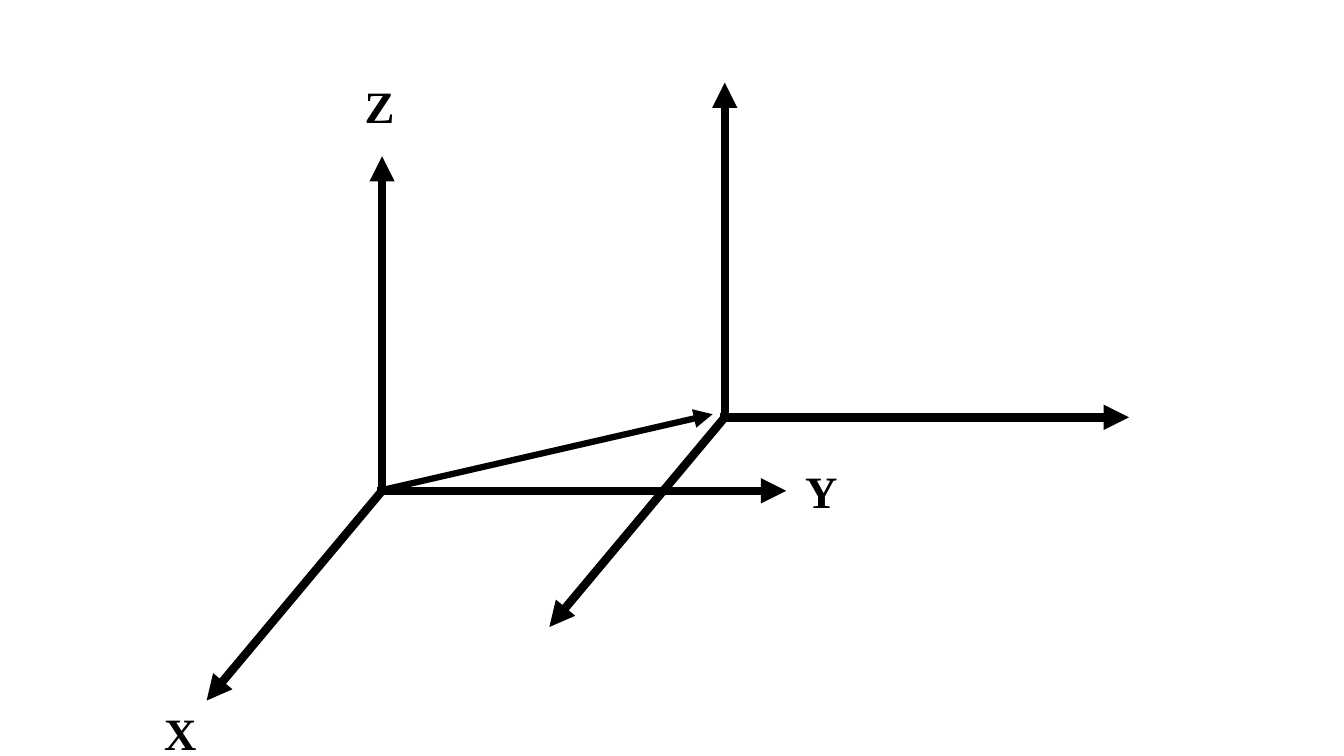
from lxml import etree
from pptx import Presentation
from pptx.dml.color import RGBColor
from pptx.enum.text import MSO_AUTO_SIZE
from pptx.oxml.ns import qn
from pptx.util import Pt

NO_AUTOSIZE = MSO_AUTO_SIZE.NONE
STRAIGHT = 1
COLORS = {"ink": "000000", "background": "FFFFFF"}
LABEL_FONT = {"name": "Times New Roman", "size": Pt(32), "bold": True}

AXES = {
    "X": ((0, 0), (-125.3, 149.8)),
    "Z": ((0, 0), (0, -239)),
    "Y": ((-3.6, 0), (288.7, 0)),
}
LABEL_BOXES = {
    "Z": (-19.5, -298, 36, 46),
    "Y": (295.2, -23, 38.2, 46),
    "X": (-162.7, 149.8, 38.2, 46),
}
BASE_ORIGIN = (272.9, 350.6)
MOVED_ORIGIN = (517.7, 298.1)


def draw_arrow(slide, start, end, weight):
    arrow = slide.shapes.add_connector(
        STRAIGHT, *(Pt(value) for value in (*start, *end)))
    arrow.line.width = Pt(weight)
    arrow.line.color.rgb = RGBColor.from_string(COLORS["ink"])
    etree.SubElement(arrow.line._get_or_add_ln(), qn("a:tailEnd"), type="triangle")
    etree.SubElement(arrow._element.spPr, qn("a:effectLst"))


def draw_axes(slide, origin):
    x, y = origin
    for (start_x, start_y), (end_x, end_y) in AXES.values():
        draw_arrow(slide, (x + start_x, y + start_y), (x + end_x, y + end_y), 6)


def draw_labels(slide, origin):
    x, y = origin
    for letter, (left, top, width, height) in LABEL_BOXES.items():
        label = slide.shapes.add_textbox(
            Pt(x + left), Pt(y + top), Pt(width), Pt(height))
        frame = label.text_frame
        frame.auto_size = NO_AUTOSIZE
        frame.word_wrap = False
        run = frame.paragraphs[0].add_run()
        run.text = letter
        for attribute, value in LABEL_FONT.items():
            setattr(run.font, attribute, value)
        run.font.color.rgb = RGBColor.from_string(COLORS["ink"])


def draw_translation(slide, origin):
    x, y = origin
    draw_arrow(slide, (x - 2.2, y), (x + 236.1, y - 54.7), 4.5)


def build_translation_slide(presentation):
    slide = presentation.slides.add_slide(presentation.slide_layouts[6])
    slide.background.fill.solid()
    slide.background.fill.fore_color.rgb = RGBColor.from_string(COLORS["background"])
    draw_axes(slide, BASE_ORIGIN)
    draw_labels(slide, BASE_ORIGIN)
    draw_translation(slide, BASE_ORIGIN)
    draw_axes(slide, MOVED_ORIGIN)


def main():
    presentation = Presentation()
    presentation.slide_width = Pt(960)
    presentation.slide_height = Pt(540)
    build_translation_slide(presentation)
    presentation.save("out.pptx")


if __name__ == "__main__":
    main()
